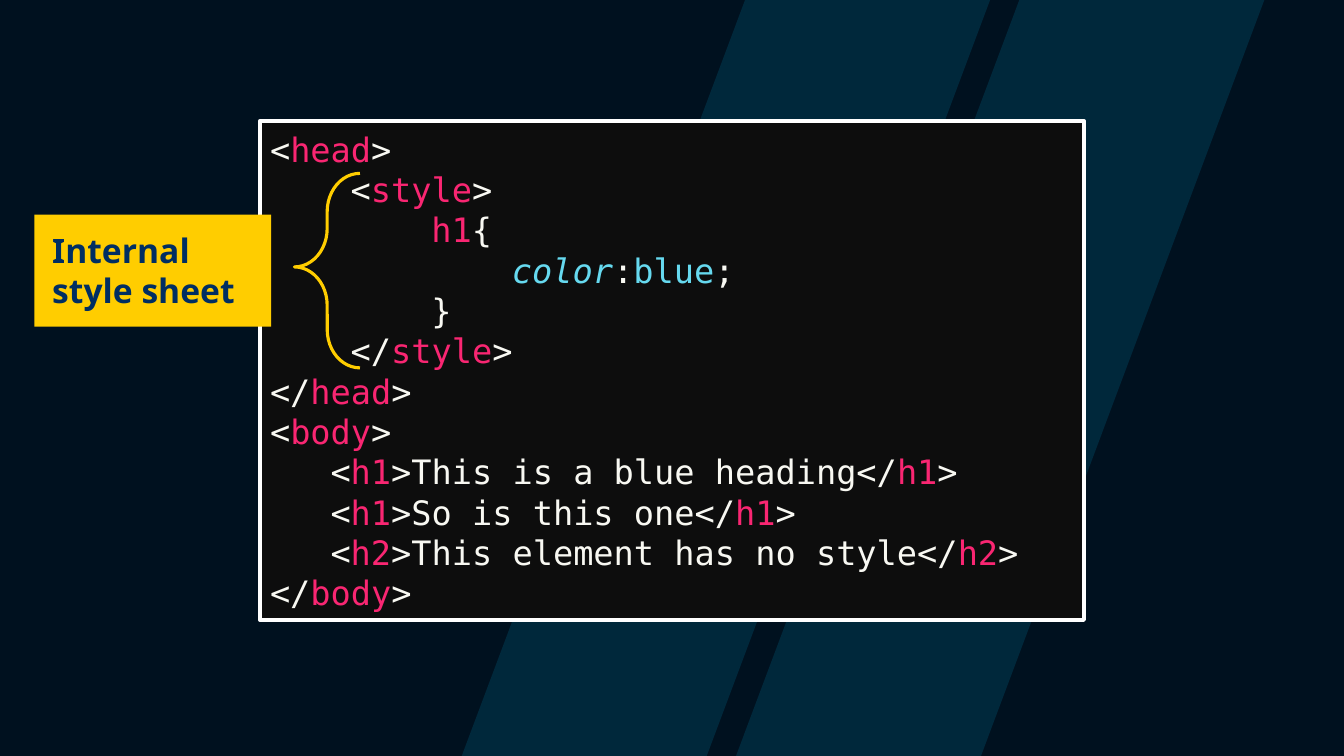
from dataclasses import dataclass

import pptx
import pptx.dml.color
import pptx.enum.shapes
import pptx.enum.text
import pptx.util
from lxml import etree

Inches = pptx.util.Inches
Pt = pptx.util.Pt
RGB = pptx.dml.color.RGBColor.from_string
SHAPES = pptx.enum.shapes.MSO_SHAPE


@dataclass(frozen=True)
class Theme:
    background: str = "00111F"
    stripe: str = "00AEDE"
    panel: str = "0D0D0D"
    frame: str = "FFFFFF"
    accent: str = "FFCD00"
    label: str = "002E62"
    plain: str = "F8F8F2"
    tag: str = "F92672"
    value: str = "66D9EF"
    code_font: str = "DejaVu Sans Mono"
    label_font: str = "Noto Sans"
    text_size: int = 24


theme = Theme()


def style(shape, fill=None, line=None, width=0):
    """Set fill and outline, leaving out whichever has no colour."""
    shape.shadow.inherit = False
    if fill:
        shape.fill.solid()
        shape.fill.fore_color.rgb = RGB(fill)
    else:
        shape.fill.background()
    if line:
        shape.line.color.rgb = RGB(line)
        shape.line.width = Pt(width)
    else:
        shape.line.fill.background()


deck = pptx.Presentation()
deck.slide_width, deck.slide_height = Inches(13.33), Inches(7.5)
page = deck.slides.add_slide(deck.slide_layouts[6])
page.background.fill.solid()
page.background.fill.fore_color.rgb = RGB(theme.background)

# Slanted background stripes
stripe_width, lean = 2.43, 2.81
for left in (4.58, 7.3):
    corners = [(left + stripe_width, 7.5), (left + stripe_width + lean, 0), (left + lean, 0)]
    builder = page.shapes.build_freeform(Inches(left), Inches(7.5))
    builder.add_line_segments([(Inches(x), Inches(y)) for x, y in corners], close=True)
    stripe = builder.convert_to_shape()
    style(stripe, theme.stripe)
    colour = stripe.fill._xPr.find(".//" + pptx.oxml.ns.qn("a:srgbClr"))
    etree.SubElement(colour, pptx.oxml.ns.qn("a:alpha"), val="15000")

# Code panel: indent in characters, then pieces split by "|"
code = [
    (0, "<|head|>"),
    (4, "<|style|>"),
    (8, "h1|{"),
    (12, "color|:|blue|;"),
    (8, "}"),
    (4, "</|style|>"),
    (0, "</|head|>"),
    (0, "<|body|>"),
    (3, "<|h1|>This is a blue heading</|h1|>"),
    (3, "<|h1|>So is this one</|h1|>"),
    (3, "<|h2|>This element has no style</|h2|>"),
    (0, "</|body|>"),
]
piece_colours = dict.fromkeys(("head", "style", "body", "h1", "h2"), theme.tag)
piece_colours |= dict.fromkeys(("color", "blue"), theme.value)
character_width = 0.2

panel = page.shapes.add_shape(SHAPES.RECTANGLE, Inches(2.58), Inches(1.2), Inches(8.17), Inches(4.95))
style(panel, theme.panel, theme.frame, 3)
frame = panel.text_frame
frame.word_wrap = True
frame.vertical_anchor = pptx.enum.text.MSO_ANCHOR.MIDDLE
for number, (indent, line) in enumerate(code):
    para = frame.add_paragraph() if number else frame.paragraphs[0]
    para.alignment = pptx.enum.text.PP_ALIGN.LEFT
    para.font.name, para.font.size = theme.code_font, Pt(theme.text_size)
    para._p.get_or_add_pPr().set("marL", str(Inches(indent * character_width)))
    for piece in line.split("|"):
        span = para.add_run()
        span.text = piece
        span.font.color.rgb = RGB(piece_colours.get(piece, theme.plain))
        if piece == "color":
            span.font.italic = True

# Brace and label for the style block
brace = page.shapes.add_shape(SHAPES.LEFT_BRACE, Inches(2.92), Inches(1.72), Inches(0.65), Inches(1.93))
brace.adjustments[0], brace.adjustments[1] = 0.586, 0.481
style(brace, line=theme.accent, width=2.25)

label = page.shapes.add_shape(SHAPES.RECTANGLE, Inches(0.34), Inches(2.13), Inches(2.35), Inches(1.11))
style(label, theme.accent)

box = page.shapes.add_textbox(Inches(0.42), Inches(2.23), Inches(2.27), Inches(0.91))
box.text_frame.word_wrap = True
para = box.text_frame.paragraphs[0]
para.text = "Internal style sheet"
para.font.name, para.font.size, para.font.bold = theme.label_font, Pt(theme.text_size), True
para.font.color.rgb = RGB(theme.label)

deck.save("out.pptx")
